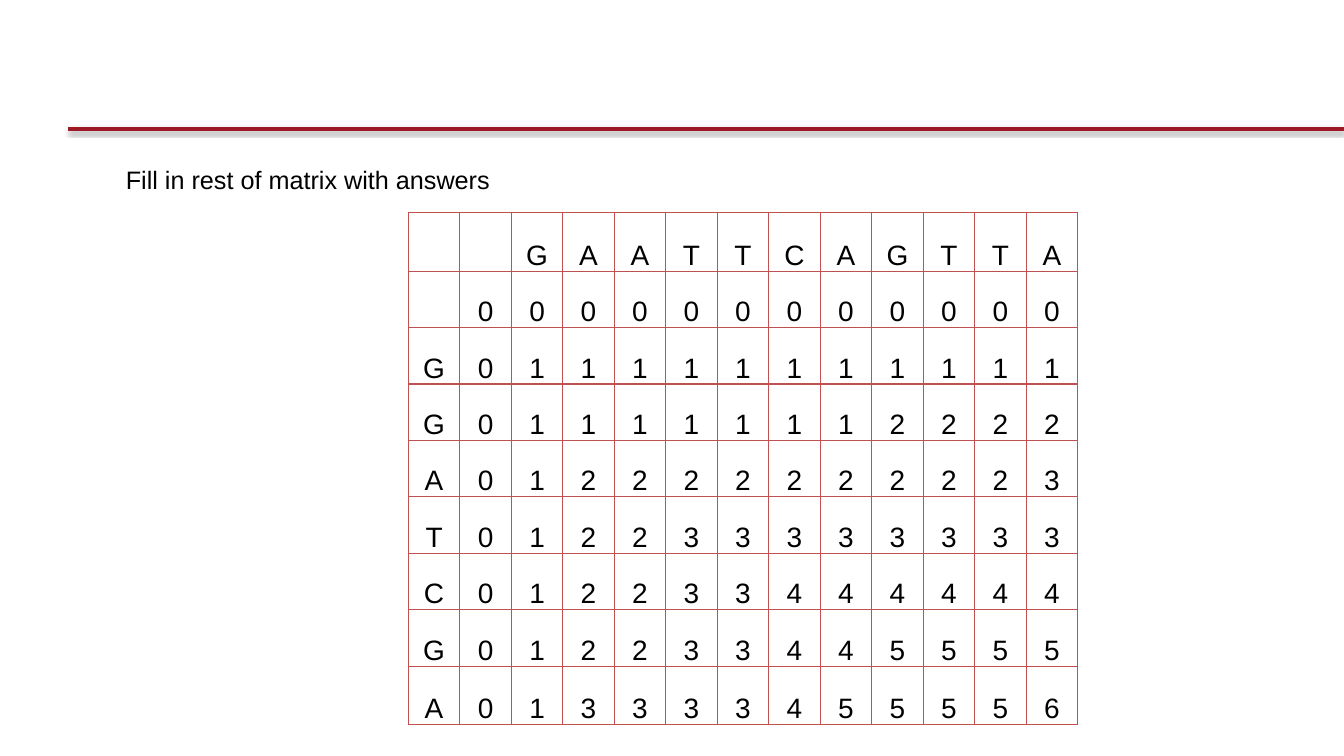
from lxml.etree import SubElement
from pptx import Presentation
from pptx.dml.color import RGBColor
from pptx.enum.shapes import MSO_CONNECTOR
from pptx.enum.text import MSO_ANCHOR, MSO_AUTO_SIZE, PP_ALIGN
from pptx.oxml import parse_xml
from pptx.oxml.ns import nsdecls, qn
from pptx.util import Inches, Pt

COLORS = {"rule": "9D1924", "text": "000000", "grid": "C0504D"}
FONT = "Arial"
TOP_SEQUENCE = "GAATTCAGTTA"
SIDE_SEQUENCE = "GGATCGA"
SCORES = [
    "000000000000",
    "011111111111",
    "011111112222",
    "012222222223",
    "012233333333",
    "012233444444",
    "012233445555",
    "013333455556",
]


def add_span(para, text, size):
    span = para.add_run()
    span.text = text
    span.font.name = FONT
    span.font.size = Pt(size)
    span.font.color.rgb = RGBColor.from_string(COLORS["text"])


def add_header_rule(page):
    y = Inches(1.28)
    rule = page.shapes.add_connector(
        MSO_CONNECTOR.STRAIGHT, Inches(0.67), y, Inches(13.33), y)
    rule.line.color.rgb = RGBColor.from_string(COLORS["rule"])
    rule.line.width = Pt(3)
    effects = SubElement(rule.element.spPr, qn("a:effectLst"))
    effects.append(parse_xml(
        f'<a:outerShdw {nsdecls("a")} blurRad="{Pt(3.1)}" dist="{Pt(1.6)}" '
        f'dir="5400000" rotWithShape="0"><a:srgbClr val="{COLORS["text"]}">'
        '<a:alpha val="38000"/></a:srgbClr></a:outerShdw>'))


def add_caption(page, text):
    box = page.shapes.add_textbox(
        Inches(1.15), Inches(1.58), Inches(7.37), Inches(0.4))
    frame = box.text_frame
    frame.word_wrap = True
    frame.auto_size = MSO_AUTO_SIZE.SHAPE_TO_FIT_TEXT
    add_span(frame.paragraphs[0], text, 18)


def set_borders(cell):
    properties = cell._tc.get_or_add_tcPr()
    for index, side in enumerate(("lnL", "lnR", "lnT", "lnB")):
        properties.insert(index, parse_xml(
            f'<a:{side} {nsdecls("a")} w="{Pt(1)}"><a:solidFill>'
            f'<a:srgbClr val="{COLORS["grid"]}"/></a:solidFill></a:{side}>'))


def fill_cell(cell, text):
    cell.fill.background()
    set_borders(cell)
    if not text:
        return
    cell.vertical_anchor = MSO_ANCHOR.BOTTOM
    cell.margin_left = cell.margin_right = cell.margin_top = Inches(0.01)
    cell.margin_bottom = 0
    para = cell.text_frame.paragraphs[0]
    para.alignment = PP_ALIGN.CENTER
    add_span(para, text, 20)


def add_alignment_matrix(page):
    rows = [["", "", *TOP_SEQUENCE]]
    rows += [[letter, *scores]
             for letter, scores in zip(["", *SIDE_SEQUENCE], SCORES)]
    width, height = Inches(6.64), Inches(5.07)
    table = page.shapes.add_table(
        len(rows), len(rows[0]), Inches(4.05), Inches(2.11), width, height).table
    table.first_row = table.horz_banding = False
    for column in table.columns:
        column.width = width // len(rows[0])
    for index, row in enumerate(table.rows):
        row.height = Inches(0.58 if index in (0, len(rows) - 1) else 0.56)
        for cell, text in zip(row.cells, rows[index]):
            fill_cell(cell, text)


def main():
    deck = Presentation()
    deck.slide_width, deck.slide_height = Inches(13.33), Inches(7.5)
    page = deck.slides.add_slide(deck.slide_layouts[6])
    add_header_rule(page)
    add_caption(page, "Fill in rest of matrix with answers")
    add_alignment_matrix(page)
    deck.save("out.pptx")


if __name__ == "__main__":
    main()
